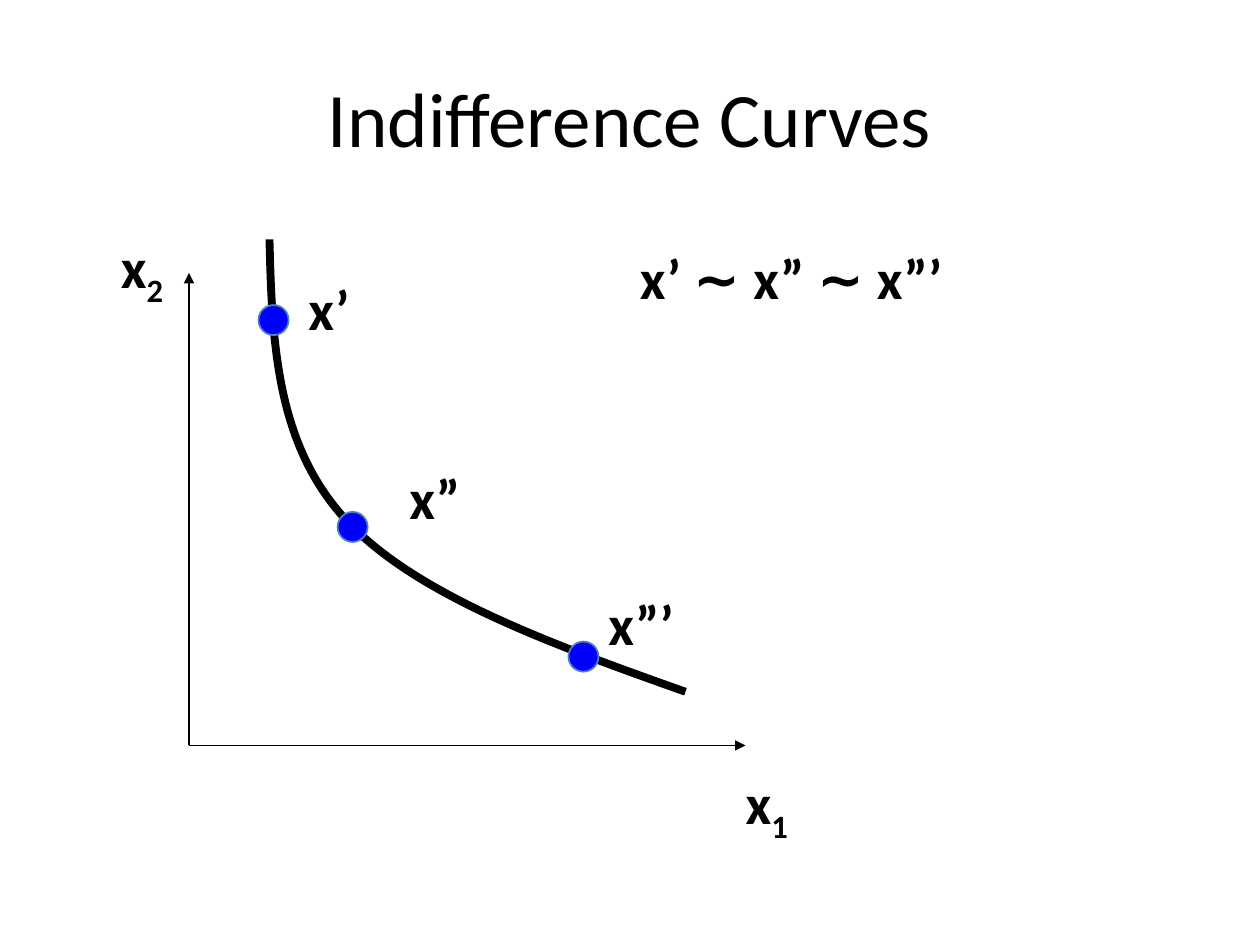
from lxml import etree
from pptx import Presentation
from pptx.dml.color import RGBColor
from pptx.enum import shapes, text
from pptx.oxml.ns import qn
from pptx.util import Pt

COLORS = {"ink": "000000", "bundle": "0000FF", "bundle_edge": "4F81BD"}
LABEL_HEIGHT = 45.4
BUNDLE_SIZE = 17.2

# Places relative to the top left corner of the plot
CURVE = [(46, -19.2), (47.5, 39), (49.7, 97.4), (89.3, 140.6),
         (128.9, 183.8), (206.6, 211.9), (283.7, 239.3)]
BUNDLES = [(48.3, 26.9), (93.5, 145.1), (225.4, 219.2)]
LABELS = [("x", "2", -46, -26.4, 44), ("x", "1", 311, 279.6, 44),
          ("x’", "", 61.2, -2.6, 41), ("x”", "", 118.8, 105.4, 48.2),
          ("x”’", "", 232.6, 177.4, 57.6)]


def color(name):
    return RGBColor.from_string(COLORS[name])


def add_run(paragraph, words, size, bold=False, font="Calibri"):
    run = paragraph.add_run()
    run.text = words
    run.font.size, run.font.bold, run.font.name = Pt(size), bold, font
    run.font.color.rgb = color("ink")
    return run


def add_label(slide, left, top, width):
    """Place an empty one-line label and return its paragraph."""
    label = slide.shapes.add_textbox(Pt(left), Pt(top), Pt(width), Pt(LABEL_HEIGHT))
    label.text_frame.word_wrap = False
    label.text_frame.auto_size = text.MSO_AUTO_SIZE.SHAPE_TO_FIT_TEXT
    return label.text_frame.paragraphs[0]


def add_title(slide, left, top, width, height):
    title = slide.shapes.add_textbox(Pt(left), Pt(top), Pt(width), Pt(height))
    title.text_frame.word_wrap = True
    title.text_frame.vertical_anchor = text.MSO_ANCHOR.MIDDLE
    heading = title.text_frame.paragraphs[0]
    heading.alignment = text.PP_ALIGN.CENTER
    add_run(heading, "Indifference Curves", 44)


def add_axis(slide, start, end):
    axis = slide.shapes.add_connector(
        shapes.MSO_CONNECTOR.STRAIGHT, *map(Pt, (*start, *end)))
    axis.line.color.rgb = color("ink")
    axis.line.width = Pt(1)
    etree.SubElement(axis.line._get_or_add_ln(), qn("a:tailEnd"), type="triangle")
    etree.SubElement(axis._element.spPr, qn("a:effectLst"))


def add_curve(slide, points):
    """Draw Bézier segments: a start, then three points for each segment."""
    start, *controls = [(Pt(x), Pt(y)) for x, y in points]
    builder = slide.shapes.build_freeform(*start)
    builder.add_line_segments(controls, close=False)
    curve = builder.convert_to_shape()
    curve.shadow.inherit = False
    curve.fill.background()
    curve.line.color.rgb = color("ink")
    curve.line.width = Pt(4.5)
    # Turn each three line segments into one cubic segment
    outline = curve._element.spPr.find(".//" + qn("a:path"))
    segments = outline.findall(qn("a:lnTo"))
    for first in range(0, len(segments), 3):
        cubic = etree.SubElement(outline, qn("a:cubicBezTo"))
        for segment in segments[first:first + 3]:
            cubic.append(segment[0])
            outline.remove(segment)


def add_bundle(slide, x, y):
    bundle = slide.shapes.add_shape(
        shapes.MSO_SHAPE.OVAL, Pt(x - BUNDLE_SIZE / 2), Pt(y - BUNDLE_SIZE / 2),
        Pt(BUNDLE_SIZE), Pt(BUNDLE_SIZE))
    bundle.shadow.inherit = False
    bundle.fill.solid()
    bundle.fill.fore_color.rgb = color("bundle")
    bundle.line.color.rgb = color("bundle_edge")
    bundle.line.width = Pt(1)


def add_plot(slide, left, top, width, height):
    # Axes
    origin = (left, top + height)
    add_axis(slide, origin, (left, top))
    add_axis(slide, origin, (left + width, top + height))
    # Indifference curve and the bundles on it
    add_curve(slide, [(left + x, top + y) for x, y in CURVE])
    for x, y in BUNDLES:
        add_bundle(slide, left + x, top + y)
    # Axis and bundle labels
    for name, subscript, x, y, label_width in LABELS:
        paragraph = add_label(slide, left + x, top + y, label_width)
        add_run(paragraph, name, 32, bold=True)
        if subscript:
            run = add_run(paragraph, subscript, 32, bold=True)
            run.font._element.set("baseline", "-25000")


def add_relation(slide, left, top, width):
    paragraph = add_label(slide, left, top, width)
    for words, font in [("x’ ", "Calibri"), ("∼", "Arial"), (" x” ", "Calibri"),
                        ("∼", "Arial"), (" x”’", "Calibri")]:
        add_run(paragraph, words, 32, bold=True, font=font)


def main():
    deck = Presentation()
    deck.slide_width, deck.slide_height = Pt(720), Pt(540)
    slide = deck.slides.add_slide(deck.slide_layouts[6])
    add_title(slide, 36, 21.6, 648, 90)
    add_plot(slide, 108, 156, 318, 270)
    add_relation(slide, 358.6, 135.4, 188)
    deck.save("out.pptx")


if __name__ == "__main__":
    main()
